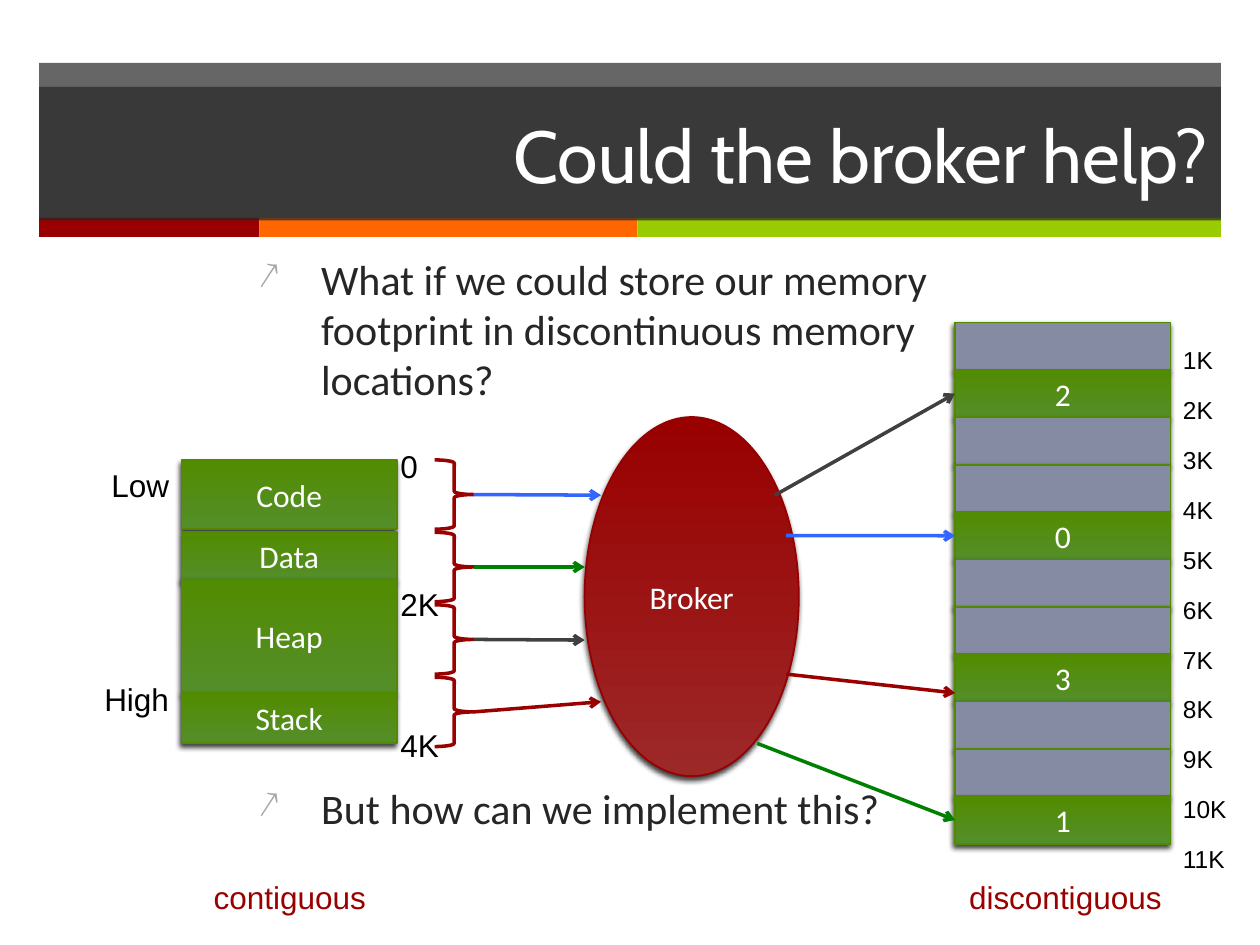
import dataclasses

import lxml.etree
import pptx
import pptx.dml.color
import pptx.enum.shapes
import pptx.enum.text
import pptx.oxml.ns
import pptx.util

Inches = pptx.util.Inches
SHAPE = pptx.enum.shapes.MSO_SHAPE
ALIGN = pptx.enum.text.PP_ALIGN
ANCHOR = pptx.enum.text.MSO_ANCHOR
qn = pptx.oxml.ns.qn


@dataclasses.dataclass(frozen=True)
class Theme:
    dark: str = "262626"
    white: str = "FFFFFF"
    black: str = "000000"
    red: str = "990000"
    orange: str = "FF6600"
    lime: str = "99CC00"
    blue: str = "3366FF"
    green: str = "008000"
    gray: str = "404040"
    bullet: str = "A6A6A6"
    free: str = "868BA4"
    used: tuple = ("548E2B", "528C00")
    used_line: str = "518900"
    broker: tuple = ("9D2828", "990000")
    broker_line: str = "960000"
    head_font: str = "Cabin"
    body_font: str = "Calibri"
    label_font: str = "Arial"
    title_size: int = 42
    body_size: int = 24
    text_size: int = 18
    small_size: int = 14


def rgb(color):
    return pptx.dml.color.RGBColor.from_string(color)


def child(parent, tag, **attrs):
    return lxml.etree.SubElement(parent, qn(tag), {k: str(v) for k, v in attrs.items()})


def add_bullet(p, char, color):
    pPr = p._p.get_or_add_pPr()
    indent = Inches(0.5)
    pPr.set("marL", str(indent))
    pPr.set("indent", str(-indent))
    child(child(pPr, "a:buClr"), "a:srgbClr", val=color)
    child(pPr, "a:buSzPct", val=90000)
    child(pPr, "a:buChar", char=char)


def write(tf, text, font, size, color, align=ALIGN.LEFT, anchor=ANCHOR.TOP,
          gap=0, bullet=None, bullet_color=None):
    tf.word_wrap = True
    tf.vertical_anchor = anchor
    for i, line in enumerate(text.split("\n")):
        p = tf.paragraphs[0] if i == 0 else tf.add_paragraph()
        p.alignment = align
        p.space_before = pptx.util.Pt(gap if i else 0)
        if bullet:
            add_bullet(p, bullet, bullet_color)
        r = p.add_run()
        r.text = line
        r.font.name = font
        r.font.size = pptx.util.Pt(size)
        r.font.color.rgb = rgb(color)


class Deck:
    def __init__(self, theme):
        self.theme = theme
        self.prs = pptx.Presentation()
        self.prs.slide_width = Inches(10)
        self.prs.slide_height = Inches(7.5)
        self.s = self.prs.slides.add_slide(self.prs.slide_layouts[5])

    def fill(self, sp, color, alpha=None):
        if isinstance(color, tuple):
            sp.fill.gradient()
            sp.fill.gradient_angle = 90
            for stop, c in zip(sp.fill.gradient_stops, color):
                stop.color.rgb = rgb(c)
            return
        sp.fill.solid()
        sp.fill.fore_color.rgb = rgb(color)
        if alpha:
            clr = sp._element.spPr.find(qn("a:solidFill"))[0]
            child(clr, "a:alpha", val=alpha * 1000)

    def bar(self, x, y, w, h, color, alpha=None):
        sp = self.s.shapes.add_shape(SHAPE.RECTANGLE, Inches(x), Inches(y), Inches(w), Inches(h))
        sp.shadow.inherit = False
        self.fill(sp, color, alpha)
        sp.line.fill.background()

    def title(self, text, x, y, w, h):
        t = self.theme
        sp = self.s.shapes.title
        sp.left, sp.top, sp.width, sp.height = Inches(x), Inches(y), Inches(w), Inches(h)
        self.fill(sp, t.dark, 70)
        write(sp.text_frame, text, t.head_font, t.title_size, t.white, ALIGN.RIGHT, ANCHOR.MIDDLE)
        sp._element.getparent().append(sp._element)

    def block(self, text, x, y, w, h, color, line, kind=SHAPE.RECTANGLE):
        t = self.theme
        sp = self.s.shapes.add_shape(kind, Inches(x), Inches(y), Inches(w), Inches(h))
        self.fill(sp, color)
        sp.line.color.rgb = rgb(line)
        sp.line.width = pptx.util.Pt(1)
        sp.shadow.inherit = False
        shadow = child(sp._element.spPr.find(qn("a:effectLst")), "a:outerShdw",
                       blurRad=pptx.util.Pt(3), dist=pptx.util.Pt(2), dir=110 * 60000, rotWithShape=0)
        child(child(shadow, "a:srgbClr", val=t.black), "a:alpha", val=75000)
        if text:
            write(sp.text_frame, text, t.body_font, t.text_size, t.white, ALIGN.CENTER, ANCHOR.MIDDLE)
        return sp

    def brace(self, x, y, w, h):
        sp = self.s.shapes.add_shape(SHAPE.RIGHT_BRACE, Inches(x), Inches(y), Inches(w), Inches(h))
        sp.shadow.inherit = False
        sp.fill.background()
        sp.line.color.rgb = rgb(self.theme.red)
        sp.line.width = pptx.util.Pt(2)

    def arrow(self, start, end, color, target=None):
        c = self.s.shapes.add_connector(pptx.enum.shapes.MSO_CONNECTOR.STRAIGHT,
                                        *map(Inches, start + end))
        c.line.color.rgb = rgb(color)
        c.line.width = pptx.util.Pt(2)
        child(c.line._get_or_add_ln(), "a:tailEnd", type="arrow")
        child(c._element.spPr, "a:effectLst")
        if target is not None:
            c.end_connect(target, 1)

    def text(self, text, x, y, w, h, **style):
        t = self.theme
        look = dict(font=t.label_font, size=t.text_size, color=t.black)
        look.update(style)
        box = self.s.shapes.add_textbox(Inches(x), Inches(y), Inches(w), Inches(h))
        write(box.text_frame, text, **look)


def main():
    t = Theme()
    d = Deck(t)

    d.bar(0.31, 0.5, 9.38, 1.24, t.dark, 70)
    for x, w, color in ((0.31, 1.75, t.red), (2.06, 3, t.orange), (5.06, 4.63, t.lime)):
        d.bar(x, 1.73, w, 0.15, color)
    d.title("Could the broker help?", 0.31, 0.69, 9.38, 1.06)

    d.text("What if we could store our memory footprint in discontinuous memory locations?\n"
           "But how can we implement this?", 1.95, 1.96, 5.52, 4.93, font=t.body_font,
           size=t.body_size, color=t.dark, gap=216, bullet="↗", bullet_color=t.bullet)
    d.text("\n".join(f"{n}K" for n in range(1, 12)), 9.29, 2.69, 0.84, 4.24,
           size=t.small_size, gap=11.7)

    for name, y, h in (("Code", 3.65, 0.55), ("Data", 4.22, 0.39),
                       ("Heap", 4.6, 0.9), ("Stack", 5.5, 0.4)):
        d.block(name, 1.44, y, 1.71, h, t.used, t.used_line)
    for name, y in (("High", 5.35), ("Low", 3.65)):
        d.text(name, 0.6, y, 0.84, 0.4, align=ALIGN.RIGHT)

    pages = {1: "2", 4: "0", 7: "3", 10: "1"}
    cell_h = 0.376
    cells = [d.block(pages.get(i), 7.58, 2.56 + i * cell_h, 1.71, cell_h,
                     t.used if i in pages else t.free, t.used_line) for i in range(11)]

    for i, (color, x, y) in enumerate(((t.blue, 4.77, 3.93), (t.green, 4.64, 4.5),
                                       (t.gray, 4.64, 5.08), (t.red, 4.77, 5.57))):
        top = 3.65 + i * 0.575
        d.brace(3.45, top, 0.31, 0.55)
        d.arrow((3.76, top + 0.275), (x, y), color)

    d.block("Broker", 4.64, 3.31, 1.7, 2.85, t.broker, t.broker_line, SHAPE.OVAL)
    for start, end, color, target in (
            ((6.24, 4.25), (7.58, 4.25), t.blue, cells[4]),
            ((6.01, 5.9), (7.58, 6.51), t.green, cells[10]),
            ((6.15, 3.93), (7.58, 3.12), t.gray, cells[1]),
            ((6.24, 5.35), (7.58, 5.5), t.red, None)):
        d.arrow(start, end, color, target)

    for name, x, w in (("contiguous", 1.44, 1.72), ("discontiguous", 7.52, 1.87)):
        d.text(name, x, 6.92, w, 0.4, color=t.red, align=ALIGN.CENTER)
    for name, y in (("0", 3.5), ("4K", 5.71), ("2K", 4.59)):
        d.text(name, 3.08, y, 0.84, 0.4)

    d.prs.save("out.pptx")


if __name__ == "__main__":
    main()
